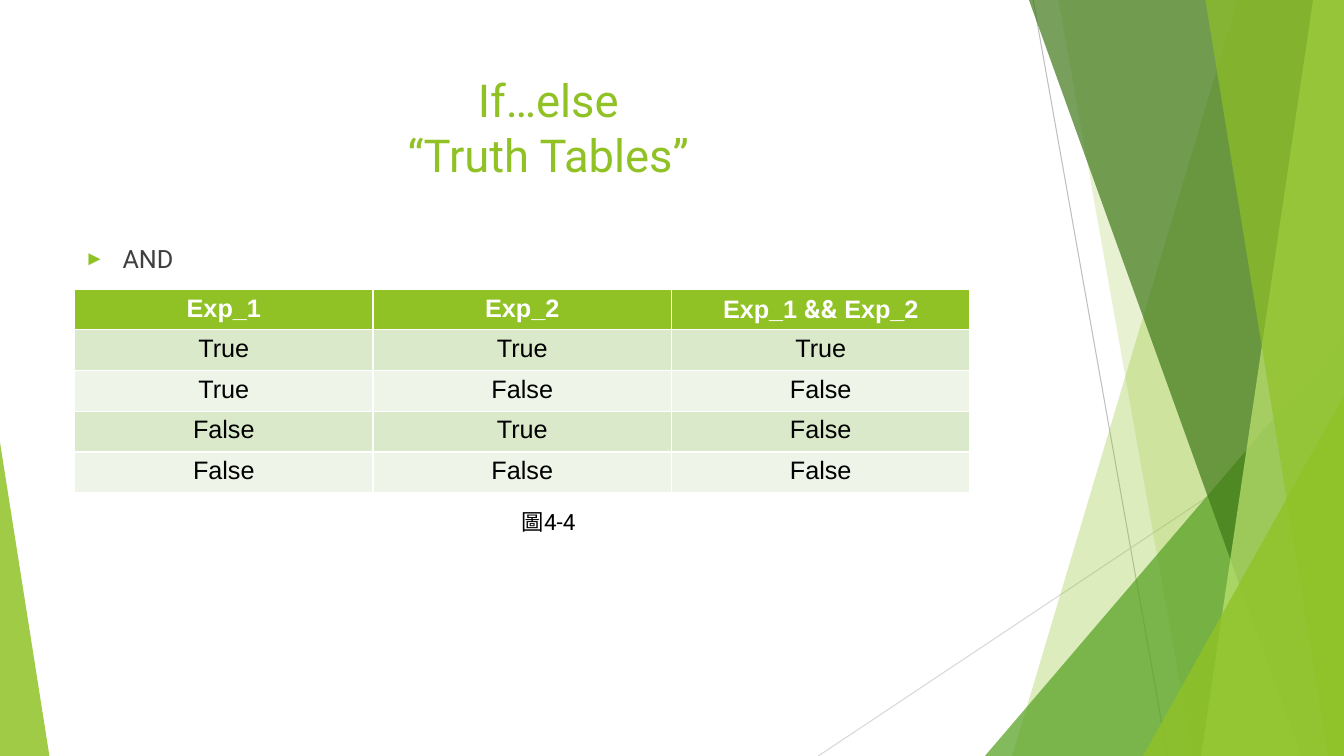
"""Build the slide with the truth table of the AND operator."""
from lxml import etree
from pptx import Presentation
from pptx.dml.color import RGBColor
from pptx.enum.shapes import MSO_CONNECTOR, MSO_SHAPE
from pptx.enum.text import MSO_ANCHOR, MSO_AUTO_SIZE, PP_ALIGN
from pptx.oxml.ns import qn
from pptx.util import Pt

STRAIGHT = MSO_CONNECTOR.STRAIGHT
TRIANGLE = MSO_SHAPE.ISOSCELES_TRIANGLE
CENTER, LEFT = PP_ALIGN.CENTER, PP_ALIGN.LEFT
TOP = MSO_ANCHOR.TOP
NO_AUTOFIT = MSO_AUTO_SIZE.NONE

LIME = RGBColor(0x90, 0xC2, 0x26)
GREEN = RGBColor(0x54, 0xA0, 0x21)
FOREST = RGBColor(0x3F, 0x78, 0x18)
PALE_LIME = RGBColor(0xBF, 0xE4, 0x71)
GRAY = RGBColor(0xBF, 0xBF, 0xBF)
LIGHT_GRAY = RGBColor(0xD8, 0xD8, 0xD8)
DARK_GRAY = RGBColor(0x3F, 0x3F, 0x3F)
WHITE = RGBColor(0xFF, 0xFF, 0xFF)
BLACK = RGBColor(0, 0, 0)
BANDS = (RGBColor(0xDB, 0xE9, 0xCB), RGBColor(0xEE, 0xF4, 0xE7))

WIDTH, HEIGHT = 960, 540
MARGIN = 53.3

TITLE = "If…else\v“Truth Tables”"
OPERATOR = "AND"
HEADER = [["Exp_1"], ["Exp_2"], ["Exp_1 ", "&&", " Exp_2"]]
INPUTS = [(True, True), (True, False), (False, True), (False, False)]
CAPTION = "圖4-4"

RAYS = [((738, 0), (834, HEIGHT), GRAY), ((WIDTH, 290), (584.5, HEIGHT), LIGHT_GRAY)]
FACETS = [
    ("slab", 884, 723, LIME, 30),
    ("slab", 756, 852, LIME, 20),
    ("right corner", 703.5, 240, GREEN, 72),
    ("slab", 735, 929.5, FOREST, 70),
    ("slab", 938, 858, PALE_LIME, 70),
    ("slab", 861, 949, LIME, 65),
    ("right corner", 816.5, 283, LIME, 80),
    ("left corner", 35.3, 316, LIME, 85),
]


def add_ray(slide, start, end, color):
    ray = slide.shapes.add_connector(STRAIGHT, *map(Pt, start + end))
    ray.line.color.rgb = color
    ray.line.width = Pt(0.75)
    etree.SubElement(ray._element.spPr, qn("a:effectLst"))


def add_slab(slide, top_x, bottom_x):
    builder = slide.shapes.build_freeform(Pt(top_x), 0)
    corners = [(WIDTH, 0), (WIDTH, HEIGHT), (bottom_x, HEIGHT)]
    builder.add_line_segments([(Pt(x), Pt(y)) for x, y in corners])
    return builder.convert_to_shape()


def add_corner(slide, left, right, top, apex):
    corner = slide.shapes.add_shape(
        TRIANGLE, Pt(left), Pt(top), Pt(right - left), Pt(HEIGHT - top))
    corner.adjustments[0] = apex
    return corner


def add_facet(slide, kind, x, y, color, opacity):
    if kind == "slab":
        facet = add_slab(slide, x, y)
    elif kind == "right corner":
        facet = add_corner(slide, x, WIDTH, y, 1)
    else:
        facet = add_corner(slide, 0, x, y, 0)
    facet.shadow.inherit = False
    facet.line.fill.background()
    facet.fill.solid()
    facet.fill.fore_color.rgb = color
    fill_color = facet._element.spPr.find(qn("a:solidFill"))[0]
    etree.SubElement(fill_color, qn("a:alpha"), val=str(opacity * 1000))


def place(shape, left, top, width, height):
    shape.left, shape.top, shape.width, shape.height = map(Pt, (left, top, width, height))
    shape.text_frame.word_wrap = True
    shape.text_frame.auto_size = NO_AUTOFIT
    shape.text_frame.vertical_anchor = TOP


def format_paragraph(paragraph, size, font, color, alignment=CENTER, bold=False):
    paragraph.alignment = alignment
    paragraph.space_before = Pt(0)
    paragraph.line_spacing = 1.0
    for run in paragraph.runs:
        run.font.size = Pt(size)
        run.font.name = font
        run.font.bold = bold
        run.font.color.rgb = color


def add_bullet(paragraph, character, color, indent):
    properties = paragraph._p.get_or_add_pPr()
    properties.set("marL", str(Pt(indent)))
    properties.set("indent", str(-Pt(indent)))
    bullet_color = etree.SubElement(properties, qn("a:buClr"))
    etree.SubElement(bullet_color, qn("a:srgbClr"), val=str(color))
    etree.SubElement(properties, qn("a:buSzPct"), val="80000")
    etree.SubElement(properties, qn("a:buFont"), typeface="Arial")
    etree.SubElement(properties, qn("a:buChar"), char=character)


def add_truth_table(slide):
    rows = [[[str(value)] for value in (first, second, first and second)]
            for first, second in INPUTS]
    heights = [28] + [29.2] * len(rows)
    table = slide.shapes.add_table(
        len(heights), len(HEADER), Pt(MARGIN), Pt(206.9),
        Pt(639.6), Pt(sum(heights))).table
    for row_index, row in enumerate([HEADER] + rows):
        is_header = row_index == 0
        table.rows[row_index].height = Pt(heights[row_index])
        for column_index, pieces in enumerate(row):
            cell = table.cell(row_index, column_index)
            cell.fill.solid()
            cell.fill.fore_color.rgb = LIME if is_header else BANDS[(row_index - 1) % 2]
            paragraph = cell.text_frame.paragraphs[0]
            for piece in pieces:
                paragraph.add_run().text = piece
            format_paragraph(paragraph, 18, "Arial", WHITE if is_header else BLACK,
                             bold=is_header)
            for run in paragraph.runs:
                if run.text == "&&":
                    run.font.name = "Roboto"


presentation = Presentation()
presentation.slide_width, presentation.slide_height = Pt(WIDTH), Pt(HEIGHT)
slide = presentation.slides.add_slide(presentation.slide_layouts[1])

for ray in RAYS:
    add_ray(slide, *ray)
for facet in FACETS:
    add_facet(slide, *facet)

title = slide.shapes.title
place(title, MARGIN, 48, 676.8, 104)
title.text_frame.text = TITLE
format_paragraph(title.text_frame.paragraphs[0], 32.4, "Roboto", LIME)

body = slide.placeholders[1]
place(body, MARGIN, 170, 676.8, 305)
body.text_frame.text = OPERATOR
operator = body.text_frame.paragraphs[0]
format_paragraph(operator, 18, "Roboto", DARK_GRAY, LEFT)
add_bullet(operator, "►", LIME, 27)

add_truth_table(slide)

caption = slide.shapes.add_textbox(0, 0, 0, 0)
place(caption, 285, 359.3, 213.8, 26.6)
caption.text_frame.text = CAPTION
format_paragraph(caption.text_frame.paragraphs[0], 16, "Roboto", BLACK)

presentation.save("out.pptx")
